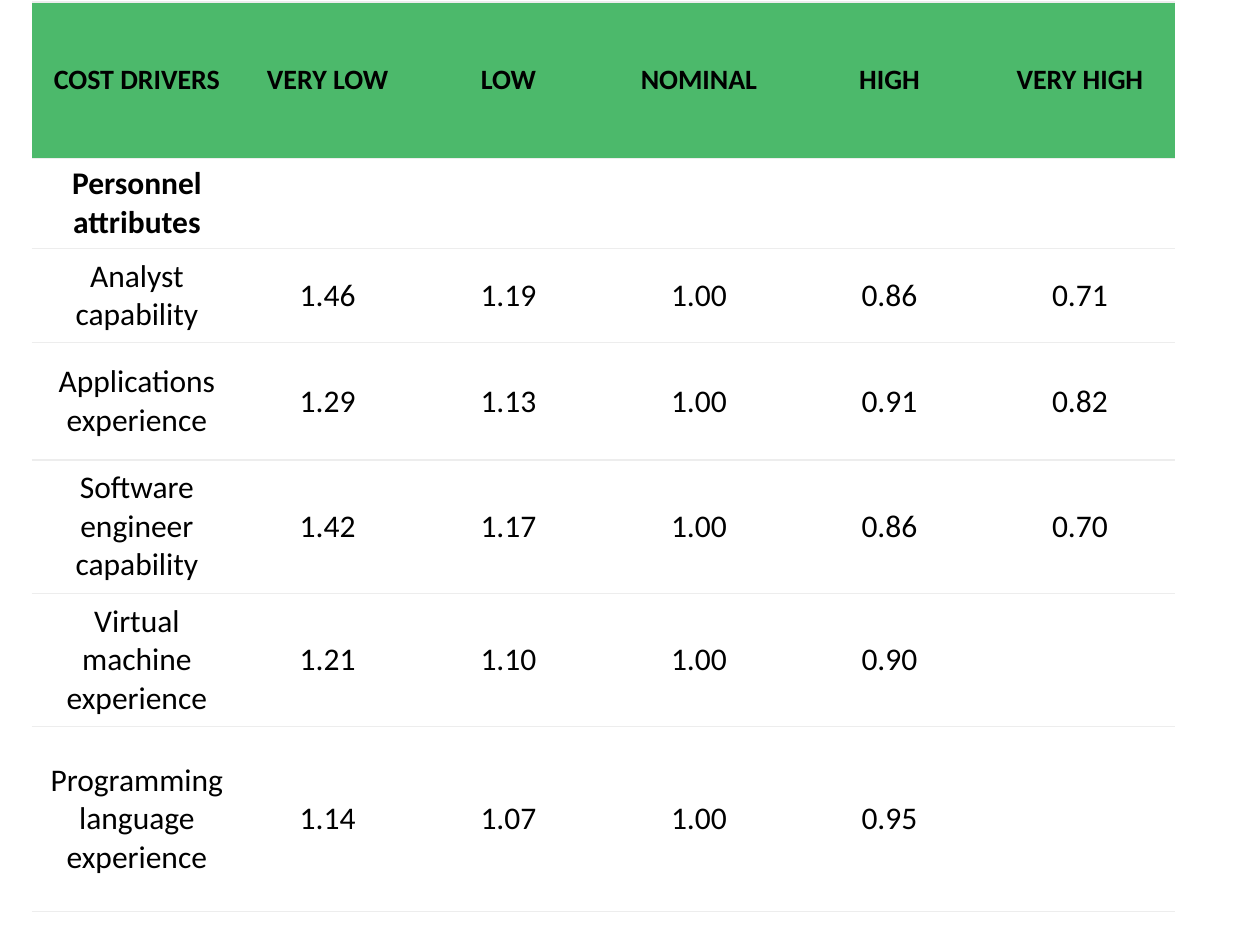
from dataclasses import dataclass

from lxml import etree
from pptx import Presentation
from pptx.dml.color import RGBColor
from pptx.enum import text
from pptx.oxml import ns
from pptx.util import Cm, Pt


@dataclass(frozen=True)
class Theme:
    font: str = "Calibri"
    ink: str = "000000"
    header_fill: str = "4CB96B"
    body_fill: str = "FFFFFF"
    rule: str = "EDEDED"
    rule_width: float = 0.75
    header_size: int = 16
    body_size: int = 18


THEME = Theme()
NO_STYLE = "{2D5ABB26-0587-4C30-8999-92F81FD0307C}"

COLUMN_WIDTHS = [4.24, 3.45] + [3.84] * 4
ROW_HEIGHTS = [3.15, 1.75, 1.91, 2.36, 2.67, 2.67, 3.73]
ROWS = [
    ["COST DRIVERS", "VERY LOW", "LOW", "NOMINAL", "HIGH", "VERY HIGH"],
    ["Personnel attributes"],
    ["Analyst capability", "1.46", "1.19", "1.00", "0.86", "0.71"],
    ["Applications experience", "1.29", "1.13", "1.00", "0.91", "0.82"],
    ["Software engineer capability", "1.42", "1.17", "1.00", "0.86", "0.70"],
    ["Virtual machine experience", "1.21", "1.10", "1.00", "0.90"],
    ["Programming language experience", "1.14", "1.07", "1.00", "0.95"],
]


def set_borders(cell):
    """Rule the cell above and below, and leave its sides open."""
    properties = cell._tc.get_or_add_tcPr()
    for index, side in enumerate(("lnL", "lnR", "lnT", "lnB")):
        line = etree.Element(ns.qn(f"a:{side}"), w=str(Pt(THEME.rule_width)))
        properties.insert(index, line)
        if side in ("lnL", "lnR"):
            etree.SubElement(line, ns.qn("a:noFill"))
        else:
            fill = etree.SubElement(line, ns.qn("a:solidFill"))
            etree.SubElement(fill, ns.qn("a:srgbClr"), val=THEME.rule)


def style_cell(cell, fill, margins):
    side, end = (Cm(length) for length in margins)
    cell.margin_left = cell.margin_right = side
    cell.margin_top = cell.margin_bottom = end
    cell.vertical_anchor = text.MSO_ANCHOR.MIDDLE
    cell.fill.solid()
    cell.fill.fore_color.rgb = RGBColor.from_string(fill)
    set_borders(cell)


def write_cell(cell, words, size, bold):
    para = cell.text_frame.paragraphs[0]
    para.alignment = text.PP_ALIGN.CENTER
    if words:
        para.text = words
    font = para.font
    font.name, font.size, font.bold = THEME.font, Pt(size), bold
    font.color.rgb = RGBColor.from_string(THEME.ink)


def add_cost_table(page, left, top, width, height):
    frame = page.shapes.add_table(
        len(ROWS), len(COLUMN_WIDTHS), Cm(left), Cm(top), Cm(width), Cm(height))
    table = frame.table
    table.horz_banding = False
    table._tbl.tblPr.find(ns.qn("a:tableStyleId")).text = NO_STYLE

    for column, share in zip(table.columns, COLUMN_WIDTHS):
        column.width = Cm(width * share / sum(COLUMN_WIDTHS))
    for row, share in zip(table.rows, ROW_HEIGHTS):
        row.height = Cm(height * share / sum(ROW_HEIGHTS))

    row_margins = [(0.13, 0.13), (0.23, 0.13)] + [(0.38, 0.18)] * 5
    for index, (row, words, margins) in enumerate(zip(table.rows, ROWS, row_margins)):
        header = index == 0
        fill = THEME.header_fill if header else THEME.body_fill
        size = THEME.header_size if header else THEME.body_size
        padded = words + [""] * (len(COLUMN_WIDTHS) - len(words))
        for cell, word in zip(row.cells, padded):
            style_cell(cell, fill, margins)
            write_cell(cell, word, size, bold=index < 2)


def main():
    deck = Presentation()
    deck.slide_width, deck.slide_height = Cm(25.4), Cm(19.05)
    page = deck.slides.add_slide(deck.slide_layouts[6])
    add_cost_table(page, left=0.64, top=0.04, width=23.05, height=18.24)
    deck.save("out.pptx")


if __name__ == "__main__":
    main()
